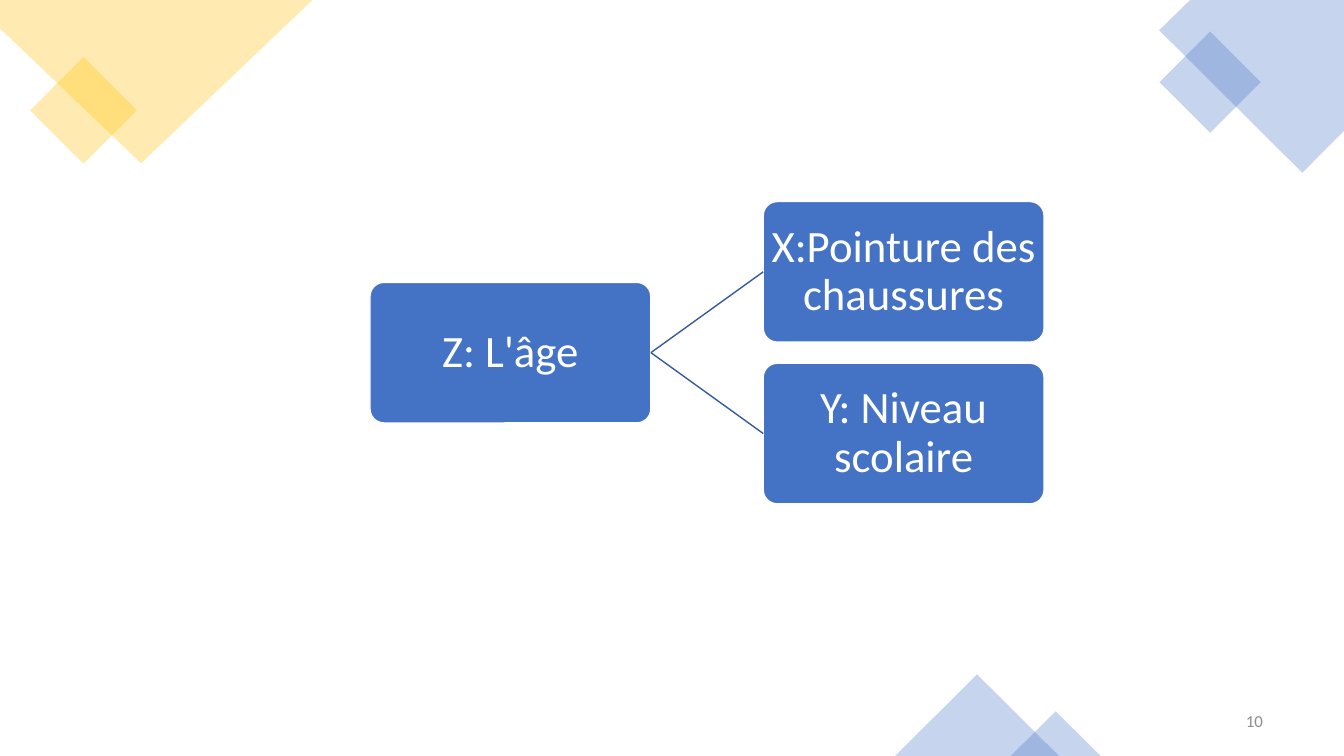
from lxml import etree
from pptx import Presentation
from pptx import util as u
from pptx.dml.color import RGBColor
from pptx.enum import shapes, text
from pptx.oxml.ns import qn

BLUE = RGBColor(0x44, 0x72, 0xC4)
LINK = RGBColor(0x36, 0x5B, 0x9D)
GOLD = RGBColor(0xFF, 0xC0, 0x00)
GREY = RGBColor(0x8C, 0x8C, 0x8C)
WHITE = RGBColor(0xFF, 0xFF, 0xFF)
KIND = shapes.MSO_SHAPE


class Deck:
    """Draws styled elements on one slide, with lengths in percent of its size."""

    font = "Calibri"

    def __init__(self):
        self.prs = Presentation()
        self.prs.slide_width = u.Inches(13.333)
        self.prs.slide_height = u.Inches(7.5)
        self.s = self.prs.slides.add_slide(self.prs.slide_layouts[6])

    def point(self, x, y):
        return (round(self.prs.slide_width * x / 100),
                round(self.prs.slide_height * y / 100))

    def frame(self, x, y, w, h):
        return *self.point(x, y), *self.point(w, h)

    def tint(self, sp, color):
        sp.shadow.inherit = False
        sp.fill.solid()
        sp.fill.fore_color.rgb = color
        sp.line.fill.background()
        clr = sp._element.spPr.find(qn("a:solidFill")).find(qn("a:srgbClr"))
        etree.SubElement(clr, qn("a:alpha")).set("val", "30000")

    def decor(self, kind, color, x, y, w, h, rotation=0):
        sp = self.s.shapes.add_shape(kind, *self.frame(x, y, w, h))
        sp.rotation = rotation
        self.tint(sp, color)

    def corner(self, color, *points):
        start, *rest = [self.point(*pt) for pt in points]
        builder = self.s.shapes.build_freeform(*start)
        builder.add_line_segments(rest)
        self.tint(builder.convert_to_shape(), color)

    def label(self, sp, words, size, color, align):
        tf = sp.text_frame
        tf.word_wrap = True
        tf.vertical_anchor = text.MSO_ANCHOR.MIDDLE
        p = tf.paragraphs[0]
        p.text = words
        p.alignment = align
        r = p.runs[0]
        r.font.name, r.font.size = self.font, u.Pt(size)
        r.font.color.rgb = color
        return tf

    def number(self, words, x, y, w, h):
        sp = self.s.shapes.add_textbox(*self.frame(x, y, w, h))
        self.label(sp, words, 12, GREY, text.PP_ALIGN.RIGHT)

    def node(self, words, x, y, w, h):
        sp = self.s.shapes.add_shape(KIND.ROUNDED_RECTANGLE, *self.frame(x, y, w, h))
        sp.adjustments[0] = 0.1
        sp.shadow.inherit = False
        sp.fill.solid()
        sp.fill.fore_color.rgb = BLUE
        sp.line.color.rgb = WHITE
        sp.line.width = u.Pt(1)
        tf = self.label(sp, words, 32, WHITE, text.PP_ALIGN.CENTER)
        tf.paragraphs[0].line_spacing = 0.9
        tf.margin_left = tf.margin_right = u.Inches(0.02)
        tf.margin_top = tf.margin_bottom = u.Inches(0.02)
        return sp

    def link(self, parent, child):
        cx = self.s.shapes.add_connector(shapes.MSO_CONNECTOR.STRAIGHT, 0, 0, 0, 0)
        cx.begin_connect(parent, 3)
        cx.end_connect(child, 1)
        cx.line.color.rgb = LINK
        cx.line.width = u.Pt(1)
        etree.SubElement(cx._element.spPr, qn("a:effectLst"))


def main():
    d = Deck()
    d.decor(KIND.RECTANGLE, GOLD, 3.4, 9.6, 5.62, 10, 45)
    d.corner(GOLD, (0, 0), (23.25, 0), (10.5, 21.6), (0, 3.75))
    d.corner(BLUE, (88.55, 0), (100, 0), (100, 17.3), (96.9, 22.85), (86.25, 4))
    d.decor(KIND.RECTANGLE, BLUE, 87.37, 6.13, 5.33, 9.47, 45)
    d.number("10", 72.2, 92.7, 22.5, 5.33)
    d.decor(KIND.ISOSCELES_TRIANGLE, BLUE, 66.6, 89.2, 12.2, 10.8)
    d.decor(KIND.ISOSCELES_TRIANGLE, BLUE, 75.2, 94.1, 6.7, 5.9)

    w, h = 20.9, 18.6
    left, top = 27.53, 37.35
    root = d.node("Z: L'âge", left, top, w, h)
    for step, words in ((-0.5, "X:Pointure des chaussures"), (0.5, "Y: Niveau scolaire")):
        child = d.node(words, left + 1.4 * w, top + step * 1.15 * h, w, h)
        d.link(root, child)
    d.prs.save("out.pptx")


if __name__ == "__main__":
    main()
